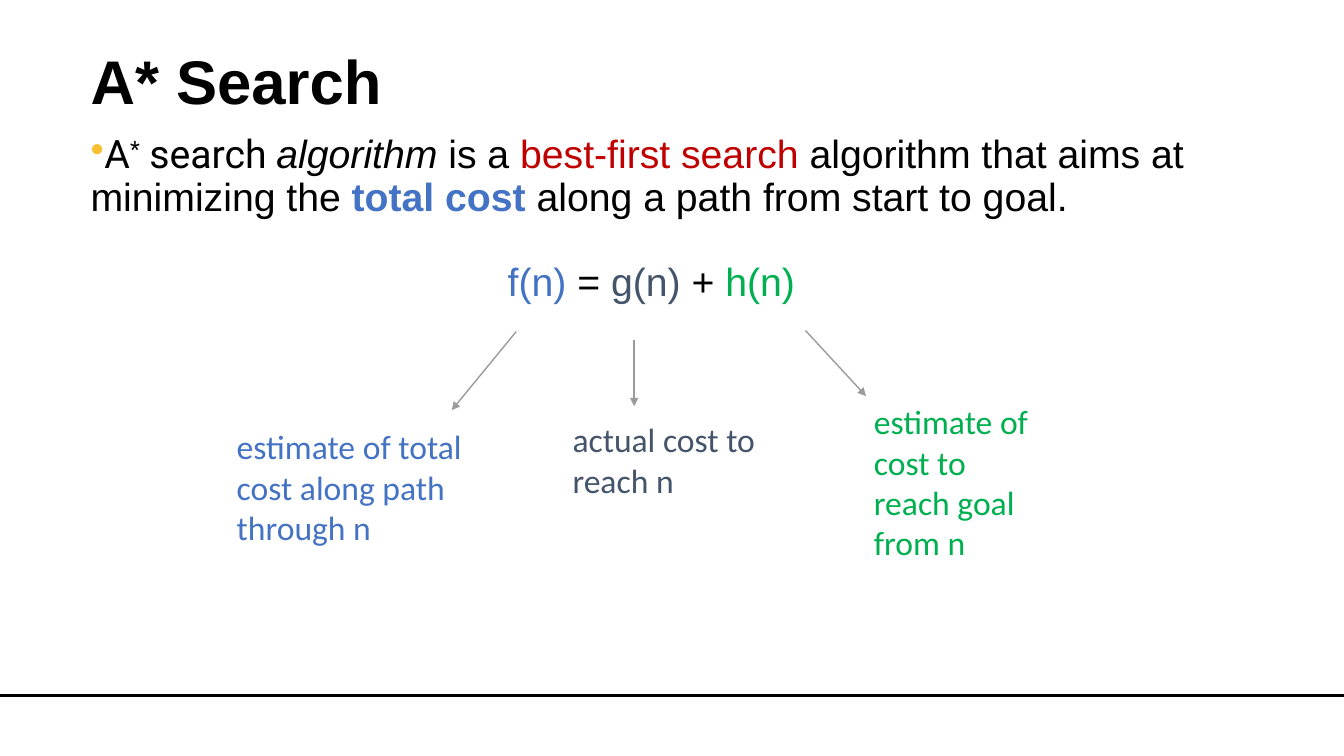
import pptx
import pptx.dml.color
import pptx.enum.shapes
import pptx.enum.text
import pptx.oxml.ns
import pptx.util
from lxml import etree

PX = 9144  # EMU; 100 px to the inch
WIDTH, HEIGHT = 1333, 750

THEME = {
    "text": "000000", "total": "4472C4", "actual": "44546A", "goal": "00B050",
    "key": "C00000", "bullet": "F7BF32", "arrow": "9B9B9B",
    "title_size": 44, "body_size": 28, "label_size": 24,
    "font": "Arial", "lead_font": "Roboto", "label_font": "Calibri",
}

TITLE = ("A* Search", (80, 39, 1150, 90))
BODY_BOX = (80, 129, 1132, 524)
# Each span: text, colour, style
DEFINITION = [
    ("A", "text", "lead"),
    ("*", "text", "lead super"),
    (" search ", "text", "lead"),
    ("algorithm", "text", "italic"),
    (" is a ", "text", ""),
    ("best-first search ", "key", ""),
    ("algorithm that aims at minimizing the ", "text", ""),
    ("total cost", "total", "bold"),
    (" along a path from start to goal.", "text", ""),
]
FORMULA = [
    ("f(n)", "total", ""),
    (" = ", "text", ""),
    ("g(n)", "actual", ""),
    (" + ", "text", ""),
    ("h(n)", "goal", ""),
]
# Each term: label, colour, label box, arrow from x, y to x, y
TERMS = [
    ("estimate of total cost along path through n", "total",
     (225, 418, 260, 131), (512, 329, 448, 407)),
    ("estimate of cost to reach goal from n", "goal",
     (857, 393, 187, 171), (799, 328, 859, 393)),
    ("actual cost to reach n", "actual",
     (558, 411, 255, 91), (629, 337, 629, 403)),
]
FOOTER_LINE = (0, 690, WIDTH, 690)


def emu(lengths):
    return [length * PX for length in lengths]


def color(name):
    return pptx.dml.color.RGBColor.from_string(THEME[name])


def add_child(parent, tag, **attributes):
    return etree.SubElement(parent, pptx.oxml.ns.qn(tag), attributes)


def add_box(page, bounds):
    frame = page.shapes.add_textbox(*emu(bounds)).text_frame
    frame.word_wrap = True
    return frame


def set_font(font, face, size, name, bold=False):
    font.name = face
    font.size = pptx.util.Pt(size)
    font.color.rgb = color(name)
    font.bold = bold


def add_spans(para, spans):
    para.line_spacing = 0.9
    for text, name, style in spans:
        span = para.add_run()
        span.text = text
        face = THEME["lead_font" if "lead" in style else "font"]
        set_font(span.font, face, THEME["body_size"], name, "bold" in style)
        span.font.italic = "italic" in style
        if "super" in style:
            span.font._element.set("baseline", "30000")


def add_bullet(para):
    """Hang the mark to the left of a zero margin, so the text follows it directly."""
    properties = para._p.get_or_add_pPr()
    properties.set("marL", "0")
    properties.set("indent", str(-42 * PX))
    mark = add_child(properties, "a:buClr")
    add_child(mark, "a:srgbClr", val=THEME["bullet"])
    add_child(properties, "a:buChar", char="•")


def add_line(page, ends, name, width, arrow=False):
    line = page.shapes.add_connector(
        pptx.enum.shapes.MSO_CONNECTOR.STRAIGHT, *emu(ends))
    line.line.color.rgb = color(name)
    line.line.width = pptx.util.Pt(width)
    if arrow:
        add_child(line.line._get_or_add_ln(), "a:tailEnd", type="triangle")
    add_child(line._element.spPr, "a:effectLst")


def add_title(page):
    text, bounds = TITLE
    frame = add_box(page, bounds)
    frame.vertical_anchor = pptx.enum.text.MSO_ANCHOR.MIDDLE
    para = frame.paragraphs[0]
    para.text = text
    para.line_spacing = 0.9
    set_font(para.font, THEME["font"], THEME["title_size"], "text", bold=True)


def add_body(page):
    frame = add_box(page, BODY_BOX)
    definition = frame.paragraphs[0]
    add_bullet(definition)
    add_spans(definition, DEFINITION)
    formula = frame.add_paragraph()
    formula.alignment = pptx.enum.text.PP_ALIGN.CENTER
    formula.space_before = pptx.util.Pt(31)
    add_spans(formula, FORMULA)


def add_term(page, label, name, bounds, ends):
    para = add_box(page, bounds).paragraphs[0]
    para.text = label
    set_font(para.font, THEME["label_font"], THEME["label_size"], name)
    add_line(page, ends, name="arrow", width=1, arrow=True)


def main():
    deck = pptx.Presentation()
    deck.slide_width, deck.slide_height = emu((WIDTH, HEIGHT))
    page = deck.slides.add_slide(deck.slide_layouts[6])
    add_line(page, FOOTER_LINE, "text", 2)
    add_title(page)
    add_body(page)
    for term in TERMS:
        add_term(page, *term)
    deck.save("out.pptx")


if __name__ == "__main__":
    main()
